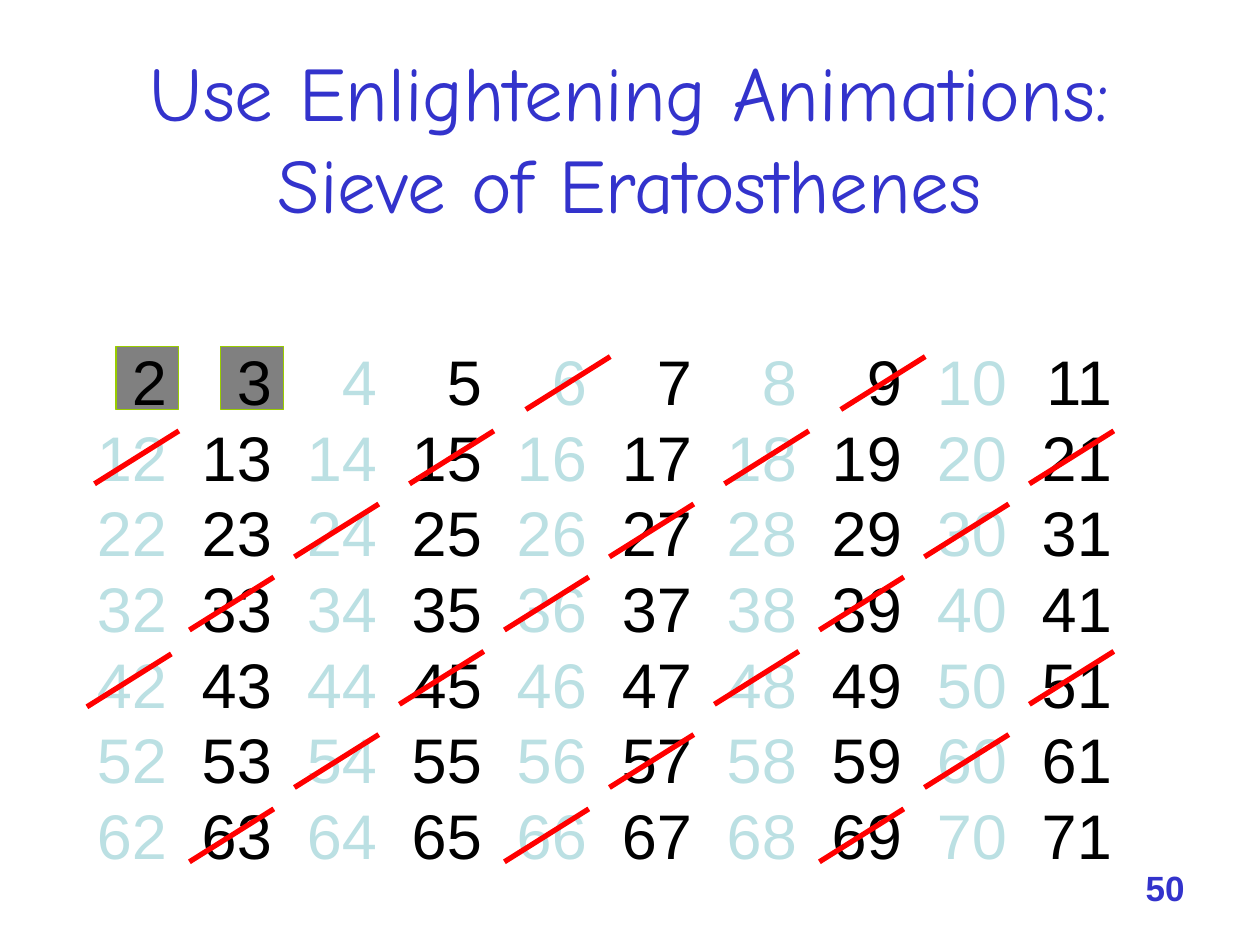
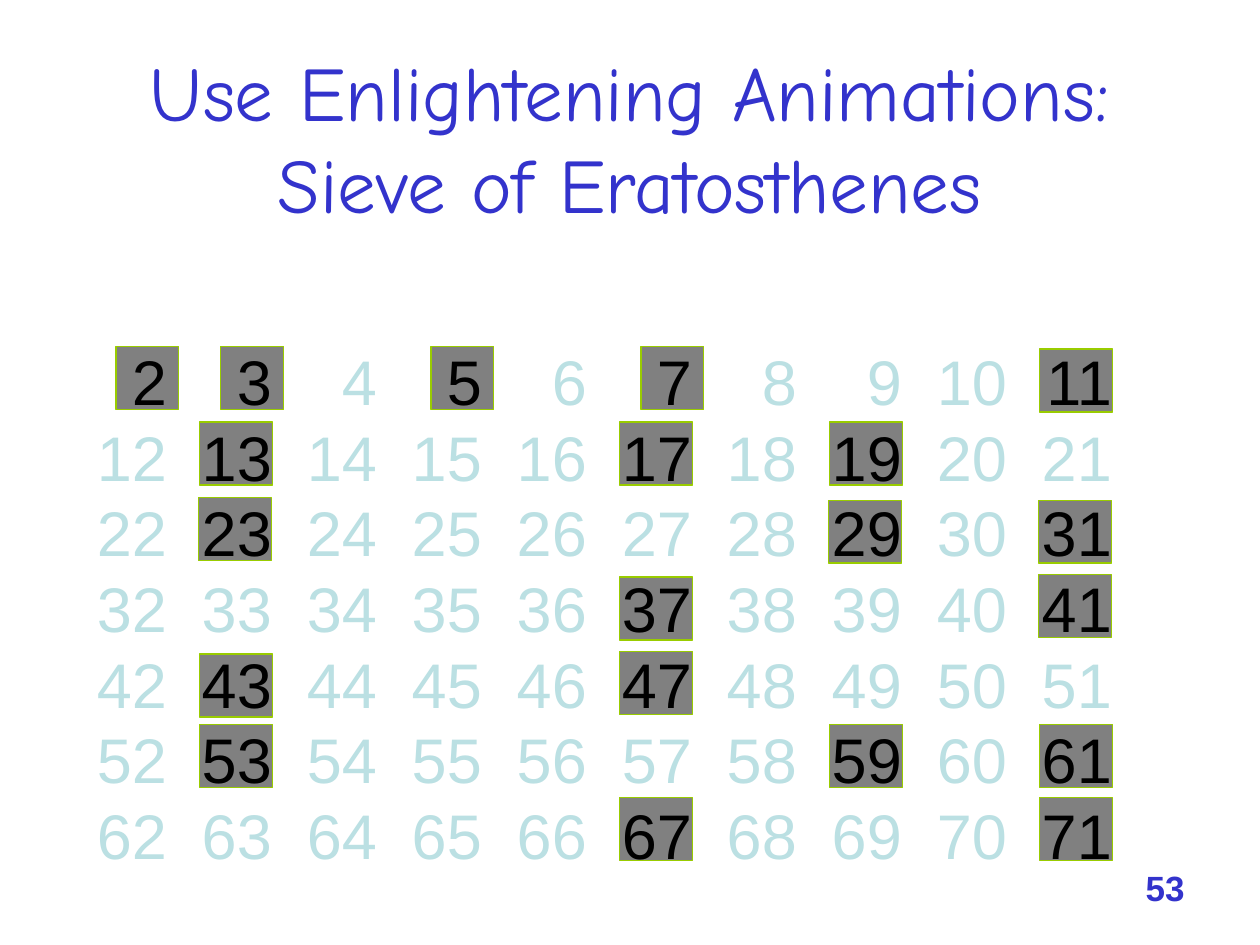
import dataclasses
import typing

import lxml.etree
import pptx
import pptx.dml.color
import pptx.enum.shapes
import pptx.enum.text
import pptx.oxml.ns
import pptx.util

RGBColor = pptx.dml.color.RGBColor
Align = pptx.enum.text.PP_ALIGN
inches = pptx.util.Inches
qn = pptx.oxml.ns.qn

INDIGO = RGBColor(0x33, 0x33, 0xCC)
BLACK = RGBColor(0, 0, 0)
PALE = RGBColor(0xBB, 0xE0, 0xE3)
GREY = RGBColor(0x80, 0x80, 0x80)
LIME = RGBColor(0x99, 0xCC, 0x00)
RED = RGBColor(0xFF, 0, 0)

TITLE = "Use Enlightening Animations: Sieve of Eratosthenes"
FIRST, LAST, COLUMNS = 2, 71, 10
NUMBERS = range(FIRST, LAST + 1)
PRIMES = [n for n in NUMBERS if all(n % d for d in range(2, n))]

COLUMN = 5 / 6
GRID_LEFT = 0.67
DIGIT_PAIR = 0.556
ROW_POINTS = 43.2

BOX_TOPS = (2.77, 3.35, 3.97, 4.58, 5.17, 5.75, 6.33)
BOX_NUDGES = {23: (-0.01, -0.02), 29: (-0.01, 0), 31: (-0.01, 0),
              41: (-0.01, -0.02), 43: (0, 0.02)}
STRIKE_TOPS = (2.83, 3.42, 4, 4.58, 5.17, 5.83, 6.42)
STRIKE_SHIFTS = (0.17, 0.08, 0, 0, 0, 0, 0)
STRIKE_NUDGES = {21: (-0.08, 0), 42: (0.02, 0.02)}
STRIKE_WIDTH, STRIKE_HEIGHT = 0.67, 0.42


@dataclasses.dataclass(frozen=True)
class Piece:
    text: str
    color: RGBColor


@dataclasses.dataclass(frozen=True)
class SieveStep:
    page: int
    remaining: typing.Sequence[int]
    boxed: typing.Sequence[int]
    struck: typing.Sequence[int]


STEPS = (
    SieveStep(50, [n for n in NUMBERS if n == 2 or n % 2], (2, 3),
              [n for n in NUMBERS if n > 3 and n % 3 == 0]),
    SieveStep(53, PRIMES, PRIMES, ()),
)


def cell(number: int) -> tuple[int, int]:
    return divmod(number - FIRST, COLUMNS)


def write(frame, lines: typing.Sequence[typing.Sequence[Piece]], *, size: float,
          font: str = "Arial", bold: bool = False, align=Align.LEFT,
          spacing: float | None = None, tabs: typing.Sequence[float] = ()) -> None:
    frame.word_wrap = True
    frame.auto_size = pptx.enum.text.MSO_AUTO_SIZE.NONE
    frame.vertical_anchor = pptx.enum.text.MSO_ANCHOR.TOP
    for index, pieces in enumerate(lines):
        paragraph = frame.add_paragraph() if index else frame.paragraphs[0]
        paragraph.alignment = align
        if spacing:
            paragraph.line_spacing = pptx.util.Pt(spacing)
        if tabs:
            stops = lxml.etree.SubElement(paragraph._p.get_or_add_pPr(), qn("a:tabLst"))
            for stop in tabs:
                lxml.etree.SubElement(stops, qn("a:tab"), pos=str(inches(stop)), algn="r")
        for piece in pieces:
            run = paragraph.add_run()
            run.text = piece.text
            run.font.name = font
            run.font.size = pptx.util.Pt(size)
            run.font.bold = bold
            run.font.color.rgb = piece.color


def draw_title(slide) -> None:
    title = slide.shapes.title
    title.left, title.top = inches(0.5), inches(0.3)
    title.width, title.height = inches(9), inches(1.25)
    write(title.text_frame, [[Piece(TITLE, INDIGO)]], size=44, font="Comic Neue",
          align=Align.CENTER)


def draw_page_number(slide, page: int) -> None:
    footer = slide.shapes.add_textbox(inches(8.5), inches(6.83), inches(1), inches(0.52))
    write(footer.text_frame, [[Piece(str(page), INDIGO)]], size=20, bold=True,
          align=Align.RIGHT)


def draw_box(slide, number: int) -> None:
    row, column = cell(number)
    if number < 10:
        left, top, width = 0.92, 2.75, 0.5
    else:
        left, top, width = 0.75, BOX_TOPS[row], 0.58
    dx, dy = BOX_NUDGES.get(number, (0, 0))
    box = slide.shapes.add_shape(
        pptx.enum.shapes.MSO_SHAPE.RECTANGLE, inches(left + column * COLUMN + dx),
        inches(top + dy), inches(width), inches(0.5))
    box.shadow.inherit = False
    box.fill.solid()
    box.fill.fore_color.rgb = GREY
    box.line.color.rgb = LIME
    box.line.width = pptx.util.Pt(0.75)


def draw_numbers(slide, remaining: typing.Sequence[int]) -> None:
    rows = [[Piece(f"\t{n}", BLACK if n in remaining else PALE)
             for n in range(start, start + COLUMNS)]
            for start in range(FIRST, LAST, COLUMNS)]
    sieve = slide.shapes.add_textbox(inches(GRID_LEFT), inches(2.67),
                                     inches(8.53), inches(4.91))
    write(sieve.text_frame, rows, size=36, spacing=ROW_POINTS,
          tabs=[DIGIT_PAIR + column * COLUMN for column in range(COLUMNS)])


def draw_strike(slide, number: int) -> None:
    row, column = cell(number)
    dx, dy = STRIKE_NUDGES.get(number, (0, 0))
    left = GRID_LEFT + column * COLUMN + STRIKE_SHIFTS[row] + dx
    top = STRIKE_TOPS[row] + dy
    strike = slide.shapes.add_connector(
        pptx.enum.shapes.MSO_CONNECTOR.STRAIGHT, inches(left),
        inches(top + STRIKE_HEIGHT), inches(left + STRIKE_WIDTH), inches(top))
    strike.line.color.rgb = RED
    strike.line.width = pptx.util.Pt(3)
    lxml.etree.SubElement(strike._element.spPr, qn("a:effectLst"))


def draw_step(deck, step: SieveStep) -> None:
    slide = deck.slides.add_slide(deck.slide_layouts[5])
    draw_title(slide)
    draw_page_number(slide, step.page)
    for number in step.boxed:
        draw_box(slide, number)
    draw_numbers(slide, step.remaining)
    for number in step.struck:
        draw_strike(slide, number)


def main() -> None:
    deck = pptx.Presentation()
    deck.slide_width, deck.slide_height = inches(10), inches(7.5)
    for step in STEPS:
        draw_step(deck, step)
    deck.save("out.pptx")


if __name__ == "__main__":
    main()
